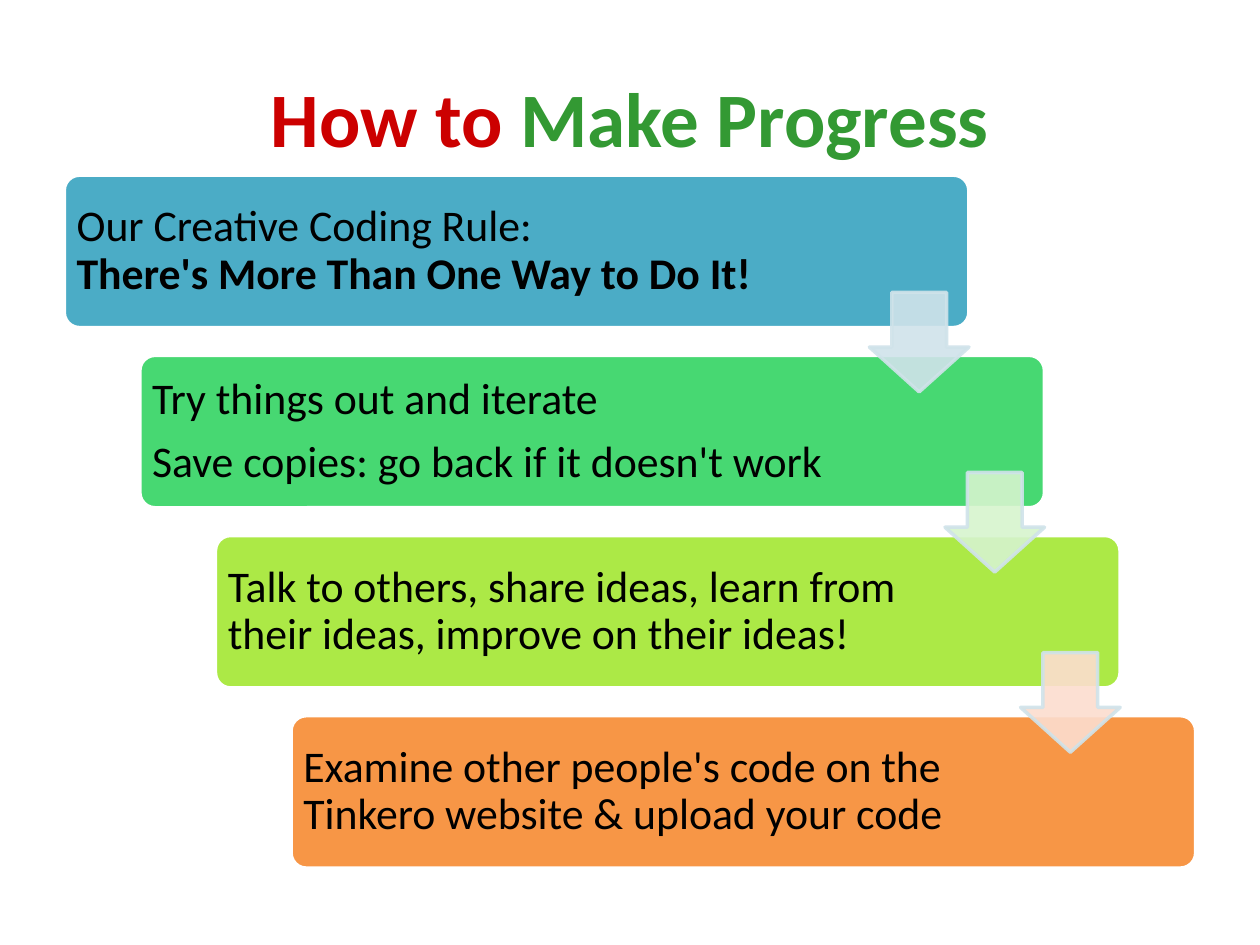
from dataclasses import dataclass

from lxml.etree import SubElement
from pptx import Presentation
from pptx.dml.color import RGBColor
from pptx.enum.shapes import MSO_SHAPE
from pptx.enum.text import MSO_ANCHOR, PP_ALIGN
from pptx.oxml.ns import qn
from pptx.shapes.autoshape import Shape
from pptx.slide import Slide
from pptx.text.text import TextFrame
from pptx.util import Emu, Pt

PX = 9144
FONT = "Calibri"
WIDTH, HEIGHT = 718, 121
TEXT = 580
ARROW = 79
SHIFT, DROP = 60, 143


@dataclass
class Run:
    text: str
    color: str = "000000"
    bold: bool = False


@dataclass
class Step:
    fill: str
    lines: list[list[Run]]
    arrow: str = ""


TITLE = [Run("How to ", "CC0000", True), Run("Make Progress", "339933", True)]
STEPS = [
    Step("4BACC6", [[Run("Our Creative Coding Rule: \v"),
                     Run("There's More Than One Way to Do It!", bold=True)]], "D0E3EA"),
    Step("47D872", [[Run("Try things out and iterate")],
                    [Run("Save copies: go back if it doesn't work")]], "D6F4CE"),
    Step("ACE946", [[Run("Talk to others, share ideas, learn from "
                         "their ideas, improve on their ideas!")]], "FCDDCF"),
    Step("F79646", [[Run("Examine other people's code on the "
                         "Tinkero website & upload your code")]]),
]


def px(*vals: int) -> list[Emu]:
    return [Emu(v * PX) for v in vals]


def rgb(color: str) -> RGBColor:
    return RGBColor.from_string(color)


def shape(slide: Slide, kind: MSO_SHAPE, box: list[Emu], fill: str, line: str,
          adjust: list[float]) -> Shape:
    item = slide.shapes.add_shape(kind, *box)
    item.shadow.inherit = False
    for i, val in enumerate(adjust):
        item.adjustments[i] = val
    item.fill.solid()
    item.fill.fore_color.rgb = rgb(fill)
    item.line.color.rgb = rgb(line)
    item.line.width = Pt(2)
    return item


def fade(item: Shape, alpha: int) -> None:
    for color in item._element.spPr.iter(qn("a:srgbClr")):
        SubElement(color, qn("a:alpha")).set("val", str(alpha * 1000))


def write(slide: Slide, box: list[Emu], lines: list[list[Run]], size: int) -> TextFrame:
    frame = slide.shapes.add_textbox(*box).text_frame
    frame.word_wrap = True
    frame.vertical_anchor = MSO_ANCHOR.MIDDLE
    for i, line in enumerate(lines):
        para = frame.add_paragraph() if i else frame.paragraphs[0]
        para.font.name = FONT
        para.font.size = Pt(size)
        for part in line:
            head, *rest = part.text.split("\v")
            run = para.add_run()
            run.text = head
            run.font.color.rgb = rgb(part.color)
            run.font.bold = part.bold
            if rest:
                para.add_line_break()
    return frame


def card(slide: Slide, i: int, step: Step) -> None:
    left, top = 51 + i * SHIFT, 139 + i * DROP
    shape(slide, MSO_SHAPE.ROUNDED_RECTANGLE, px(left, top, WIDTH, HEIGHT),
          step.fill, "FFFFFF", [0.1])
    frame = write(slide, px(left, top, TEXT, HEIGHT), step.lines, 25)
    pad = px(10)[0]
    frame.margin_left = frame.margin_right = pad
    frame.margin_top = frame.margin_bottom = pad
    for para in frame.paragraphs:
        para.line_spacing = 0.9
        para.space_after = Pt(8.75)


def arrow(slide: Slide, i: int, fill: str) -> None:
    box = px(690 + i * SHIFT, 232 + i * DROP, ARROW, ARROW)
    fade(shape(slide, MSO_SHAPE.DOWN_ARROW, box, fill, "D0E3EA", [0.55, 0.45]), 90)


def main() -> None:
    """Build the slide of cascading steps and save it."""
    deck = Presentation()
    deck.slide_width, deck.slide_height = px(1000, 750)
    slide = deck.slides.add_slide(deck.slide_layouts[6])
    title = write(slide, px(50, 30, 900, 125), [TITLE], 44)
    title.paragraphs[0].alignment = PP_ALIGN.CENTER
    for i, step in enumerate(STEPS):
        card(slide, i, step)
    for i, step in enumerate(STEPS):
        if step.arrow:
            arrow(slide, i, step.arrow)
    deck.save("out.pptx")


if __name__ == "__main__":
    main()
